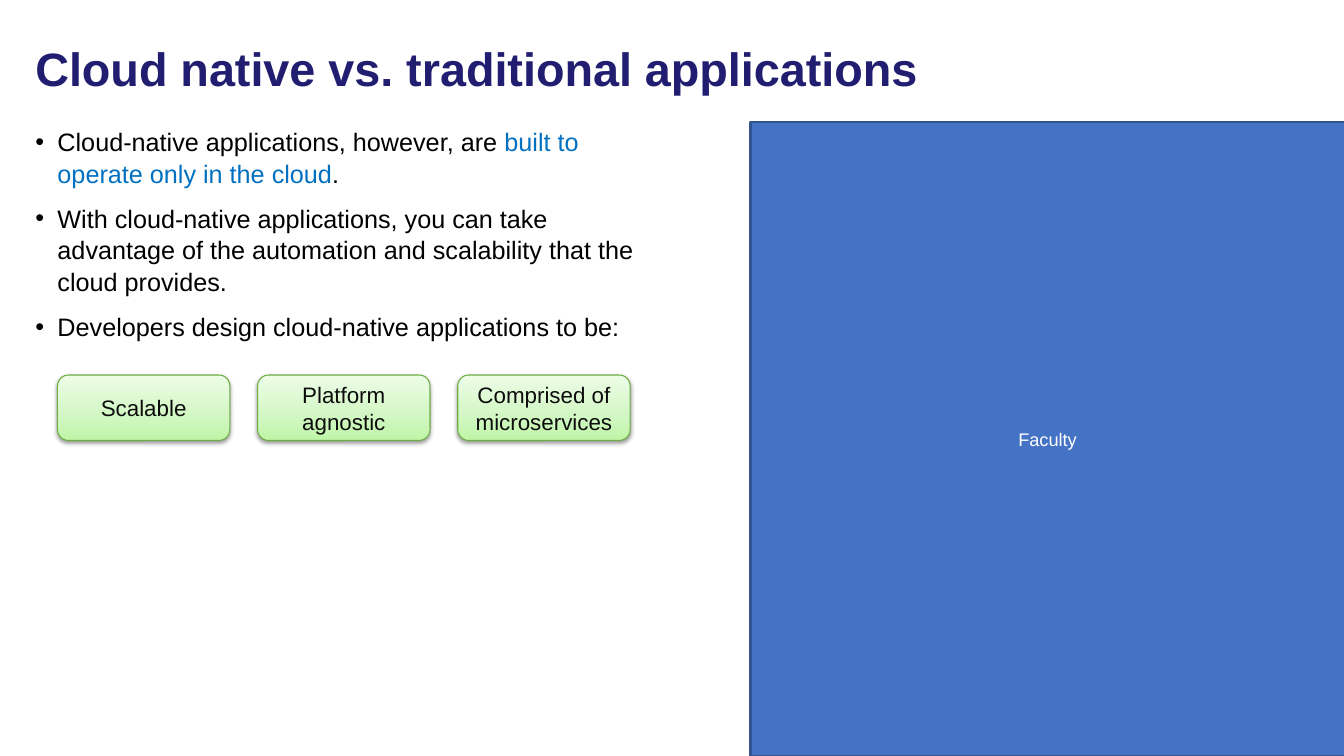
"""Build the slide comparing cloud native and traditional applications."""
from dataclasses import dataclass

from lxml import etree
from pptx import Presentation
from pptx import util as u
from pptx.dml import color
from pptx.enum import shapes, text
from pptx.oxml import ns


@dataclass(frozen=True)
class Theme:
    font: str = "Arial"
    title_size: float = 33.4
    body_size: float = 18
    button_size: float = 16
    panel_size: float = 13
    title: str = "211D70"
    body: str = "000000"
    accent: str = "0070C0"
    panel: str = "4472C4"
    panel_line: str = "325491"
    panel_text: str = "FFFFFF"
    button_line: str = "6DAC43"
    button_text: str = "0D0D0D"
    button_stops: tuple = ((0, "BEF5A7"), (35, "D1F7C2"), (100, "EDFDE7"))


@dataclass(frozen=True)
class Area:
    left: float
    top: float
    width: float
    height: float


@dataclass(frozen=True)
class Span:
    words: str
    accent: bool = False


THEME = Theme()
TITLE_AREA = Area(0.25, 0.25, 11.81, 0.91)
BODY_AREA = Area(0.25, 1.19, 6.42, 5.19)
PANEL_AREA = Area(7.44, 1.21, 5.9, 6.29)
BUTTON_ROW = Area(0.57, 3.72, 5.68, 0.65)
BUTTON_WIDTH = 1.71
BUTTONS = ("Scalable", "Platform agnostic", "Comprised of microservices")
BULLETS = (
    (Span("Cloud-native applications, however, are "),
     Span("built to operate only in the cloud", accent=True), Span(".")),
    (Span("With cloud-native applications, you can take advantage of the "
          "automation and scalability that the cloud provides."),),
    (Span("Developers design cloud-native applications to be:"),),
)


def rgb(value: str) -> color.RGBColor:
    """Turn a hex value into a colour."""
    return color.RGBColor.from_string(value)


def add_element(parent, tag: str, **attributes):
    """Append an XML element to its parent."""
    return etree.SubElement(parent, ns.qn(tag), attributes)


def place(shape, area: Area) -> None:
    """Move and size a shape."""
    shape.left, shape.top = u.Inches(area.left), u.Inches(area.top)
    shape.width, shape.height = u.Inches(area.width), u.Inches(area.height)


def set_font(para, size: float, colour: str, bold: bool = False) -> None:
    """Format the text of a paragraph."""
    para.font.name = THEME.font
    para.font.size = u.Pt(size)
    para.font.bold = bold
    para.font.color.rgb = rgb(colour)


def fill_title(box) -> None:
    """Write the slide title."""
    place(box, TITLE_AREA)
    frame = box.text_frame
    frame.text = "Cloud native vs. traditional applications"
    frame.auto_size = text.MSO_AUTO_SIZE.NONE
    frame.vertical_anchor = text.MSO_ANCHOR.MIDDLE
    para = frame.paragraphs[0]
    para.alignment = text.PP_ALIGN.LEFT
    para.line_spacing = 0.9
    set_font(para, THEME.title_size, THEME.title, bold=True)


def fill_body(box) -> None:
    """Write the bullet list."""
    place(box, BODY_AREA)
    frame = box.text_frame
    frame.auto_size = text.MSO_AUTO_SIZE.NONE
    for index, spans in enumerate(BULLETS):
        para = frame.add_paragraph() if index else frame.paragraphs[0]
        para.space_before = u.Pt(9.3 if index else 0)
        para.line_spacing = 1.05
        properties = para._p.get_or_add_pPr()
        properties.set("marL", str(u.Inches(0.22)))
        properties.set("indent", str(u.Inches(-0.22)))
        add_element(add_element(properties, "a:buClr"), "a:srgbClr", val=THEME.body)
        add_element(properties, "a:buFont", typeface=THEME.font)
        add_element(properties, "a:buChar", char="•")
        set_font(para, THEME.body_size, THEME.body)
        for span in spans:
            run = para.add_run()
            run.text = span.words
            if span.accent:
                run.font.color.rgb = rgb(THEME.accent)


def add_label_box(page, kind, area: Area, label: str, size: float,
                  colour: str, line: str, line_width: float):
    """Add an outlined shape with a centred label."""
    box = page.shapes.add_shape(kind, 0, 0, 0, 0)
    place(box, area)
    box.shadow.inherit = False
    box.line.color.rgb = rgb(line)
    box.line.width = u.Pt(line_width)
    frame = box.text_frame
    frame.text = label
    frame.word_wrap = True
    frame.vertical_anchor = text.MSO_ANCHOR.MIDDLE
    para = frame.paragraphs[0]
    para.alignment = text.PP_ALIGN.CENTER
    set_font(para, size, colour)
    return box


def add_button(page, area: Area, label: str) -> None:
    """Add a green gradient button with a soft shadow."""
    button = add_label_box(page, shapes.MSO_SHAPE.ROUNDED_RECTANGLE, area, label,
                           THEME.button_size, THEME.button_text,
                           THEME.button_line, 0.75)
    button.fill.gradient()
    button.fill.gradient_angle = 90
    properties = button._element.spPr
    stops = properties.find(ns.qn("a:gradFill")).find(ns.qn("a:gsLst"))
    for stop in list(stops):
        stops.remove(stop)
    for position, value in THEME.button_stops:
        stop = add_element(stops, "a:gs", pos=str(position * 1000))
        add_element(stop, "a:srgbClr", val=value)
    shadow = add_element(properties.find(ns.qn("a:effectLst")), "a:outerShdw",
                         blurRad=str(u.Pt(3.1)), dist=str(u.Pt(1.6)),
                         dir="5400000", rotWithShape="0")
    tint = add_element(shadow, "a:srgbClr", val=THEME.body)
    add_element(tint, "a:alpha", val="38000")


def main() -> None:
    """Build and save the deck."""
    deck = Presentation()
    deck.slide_width, deck.slide_height = u.Inches(13.33), u.Inches(7.5)
    page = deck.slides.add_slide(deck.slide_layouts[1])
    fill_title(page.shapes.title)
    fill_body(page.placeholders[1])
    panel = add_label_box(page, shapes.MSO_SHAPE.RECTANGLE, PANEL_AREA, "Faculty",
                          THEME.panel_size, THEME.panel_text, THEME.panel_line, 2)
    panel.fill.solid()
    panel.fill.fore_color.rgb = rgb(THEME.panel)
    pitch = (BUTTON_ROW.width - BUTTON_WIDTH) / (len(BUTTONS) - 1)
    for index, label in enumerate(BUTTONS):
        area = Area(BUTTON_ROW.left + index * pitch, BUTTON_ROW.top,
                    BUTTON_WIDTH, BUTTON_ROW.height)
        add_button(page, area, label)
    deck.save("out.pptx")


if __name__ == "__main__":
    main()
